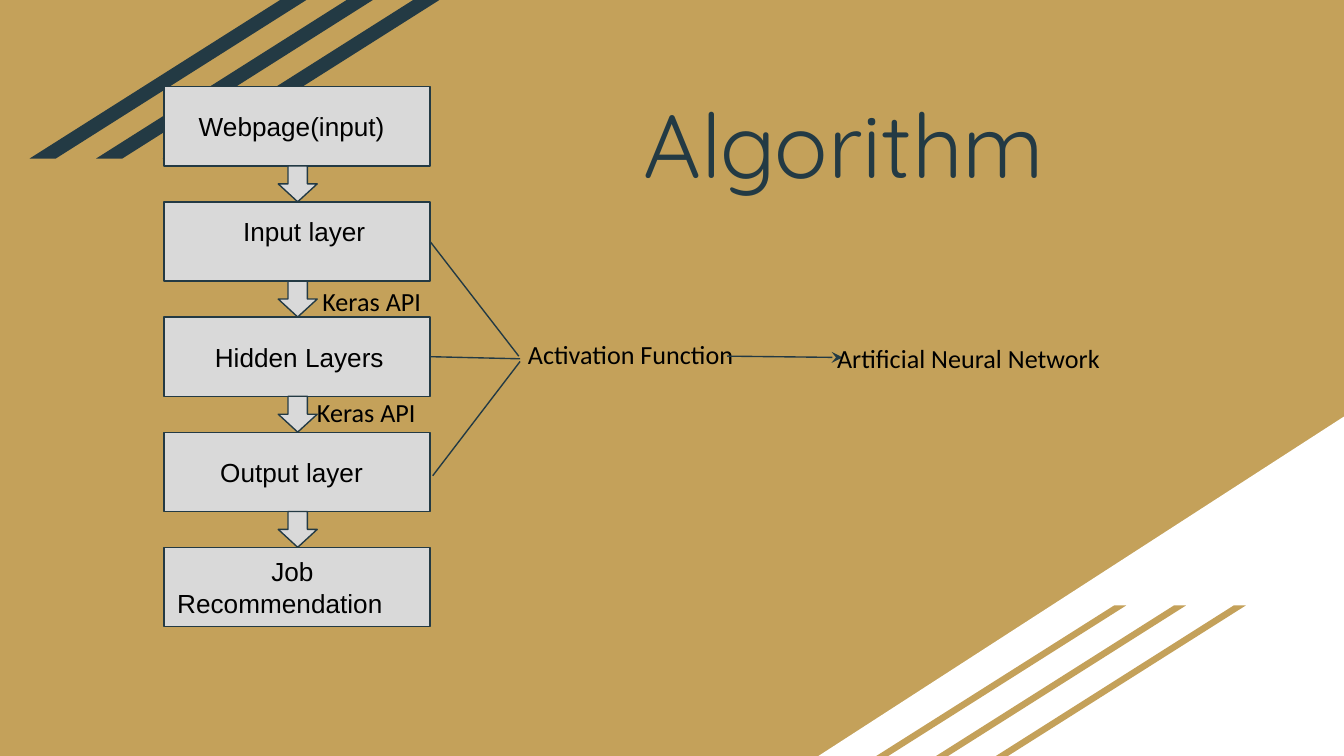
from lxml.etree import SubElement
from pptx import Presentation
from pptx.dml.color import RGBColor
from pptx.enum.shapes import MSO_CONNECTOR, MSO_SHAPE
from pptx.enum.text import MSO_ANCHOR, MSO_AUTO_SIZE, PP_ALIGN
from pptx.oxml.ns import qn
from pptx.util import Inches, Pt

COLORS = {"gold": "C4A15A", "navy": "233A44", "white": "FFFFFF",
          "grey": "D9D9D9", "black": "000000"}
COLS, ROWS = 100, 56.25


class Deck:
    """Style and current slide, placed on a grid of 100 columns by 56.25 rows."""

    def __init__(self, prs):
        self.cell = Inches(0.1)
        prs.slide_width, prs.slide_height = self.grid(COLS, ROWS)
        self.s = prs.slides.add_slide(prs.slide_layouts[5])
        fill = self.s.background.fill
        fill.solid()
        fill.fore_color.rgb = self.color("gold")

    def color(self, name):
        return RGBColor.from_string(COLORS[name])

    def grid(self, *units):
        return [round(u * self.cell) for u in units]

    def set_text(self, tf, text, font, size, color="black", indent=0,
                 anchor=MSO_ANCHOR.TOP, align=PP_ALIGN.LEFT):
        tf.word_wrap = True
        tf.auto_size = MSO_AUTO_SIZE.NONE
        tf.vertical_anchor = anchor
        tf.margin_left = tf.margin_right = tf.margin_top = tf.margin_bottom = Inches(0.1)
        tf.text = text
        p = tf.paragraphs[0]
        p.alignment = align
        p.font.name, p.font.size = font, Pt(size)
        p.font.color.rgb = self.color(color)
        if indent:
            pPr = p._p.get_or_add_pPr()
            pPr.set("marL", "0")
            pPr.set("indent", str(self.grid(indent)[0]))

    def title(self, text, *box):
        sp = self.s.shapes.title
        sp.left, sp.top, sp.width, sp.height = self.grid(*box)
        self.set_text(sp.text_frame, text, "Quicksand", 48, "navy",
                      anchor=MSO_ANCHOR.MIDDLE, align=PP_ALIGN.CENTER)

    def shape(self, kind, fill, *box, outlined=False):
        sp = self.s.shapes.add_shape(kind, *self.grid(*box))
        sp.shadow.inherit = False
        sp.fill.solid()
        sp.fill.fore_color.rgb = self.color(fill)
        if outlined:
            sp.line.color.rgb = self.color("navy")
            sp.line.width = Pt(0.75)
        else:
            sp.line.fill.background()
        return sp

    def corner(self, *box):
        sp = self.shape(MSO_SHAPE.RIGHT_TRIANGLE, "white", *box)
        sp._element.spPr.find(qn("a:xfrm")).set("flipH", "1")

    def stripes(self, fill, left, top, width, height, step):
        for i in reversed(range(3)):
            sp = self.shape(MSO_SHAPE.PARALLELOGRAM, fill,
                            left + i * step, top, width, height)
            sp.adjustments[0] = 1.58

    def step(self, text, indent, anchor, *box):
        sp = self.shape(MSO_SHAPE.RECTANGLE, "grey", *box, outlined=True)
        self.set_text(sp.text_frame, text, "Arial", 14, indent=indent, anchor=anchor)
        return sp

    def label(self, text, *box):
        sp = self.s.shapes.add_textbox(*self.grid(*box))
        self.set_text(sp.text_frame, text, "Calibri", 14)

    def line(self, *ends, source=None, arrow=False):
        cxn = self.s.shapes.add_connector(MSO_CONNECTOR.STRAIGHT, *self.grid(*ends))
        if source is not None:
            cxn.begin_connect(source, 3)
        cxn.line.color.rgb = self.color("navy")
        cxn.line.width = Pt(0.75)
        spPr = cxn._element.spPr
        if arrow:
            SubElement(spPr.find(qn("a:ln")), qn("a:tailEnd"), type="stealth")
        SubElement(spPr, qn("a:effectLst"))


def main():
    prs = Presentation()
    deck = Deck(prs)
    deck.corner(60.9, 31, 39.1, 25.25)
    deck.stripes("gold", 65.2, 45.05, 18.6, 11.2, 4.45)
    deck.stripes("navy", 2.2, 0, 20.6, 11.8, 4.95)
    deck.title("Algorithm", 39.7, 5, 46.2, 11.2)

    left, top, width, height, pitch = 12.2, 6.45, 19.8, 5.9, 8.57
    middle, upper = MSO_ANCHOR.MIDDLE, MSO_ANCHOR.TOP
    steps = [("Webpage(input)", 1.6, middle), ("Input layer", 4.9, upper),
             ("Hidden Layers", 2.8, middle), ("Output layer", 3.2, middle),
             ("Job Recommendation", 7, middle)]
    boxes = [deck.step(*step, left, top + i * pitch, width, height)
             for i, step in enumerate(steps)]
    for i in range(len(steps) - 1):
        deck.shape(MSO_SHAPE.DOWN_ARROW, "grey", 20.7, top + i * pitch + height,
                   2.9, pitch - height, outlined=True)

    deck.line(32, 18, 38.6, 26.5, source=boxes[1])
    deck.line(32, 26.6, 38.7, 26.7, source=boxes[2])
    deck.line(32.2, 35.4, 38.7, 26.9)
    deck.label("Activation Function", 38.3, 24.2, 17.6, 3.3)
    deck.line(54.1, 26.5, 62.7, 26.6, arrow=True)
    deck.label("Artificial Neural Network", 61.3, 24.5, 23.2, 2.7)
    deck.label("Keras API", 23, 20.2, 31.1, 2.7)
    deck.label("Keras API", 22.6, 28.5, 31.1, 2.7)
    prs.save("out.pptx")


if __name__ == "__main__":
    main()
